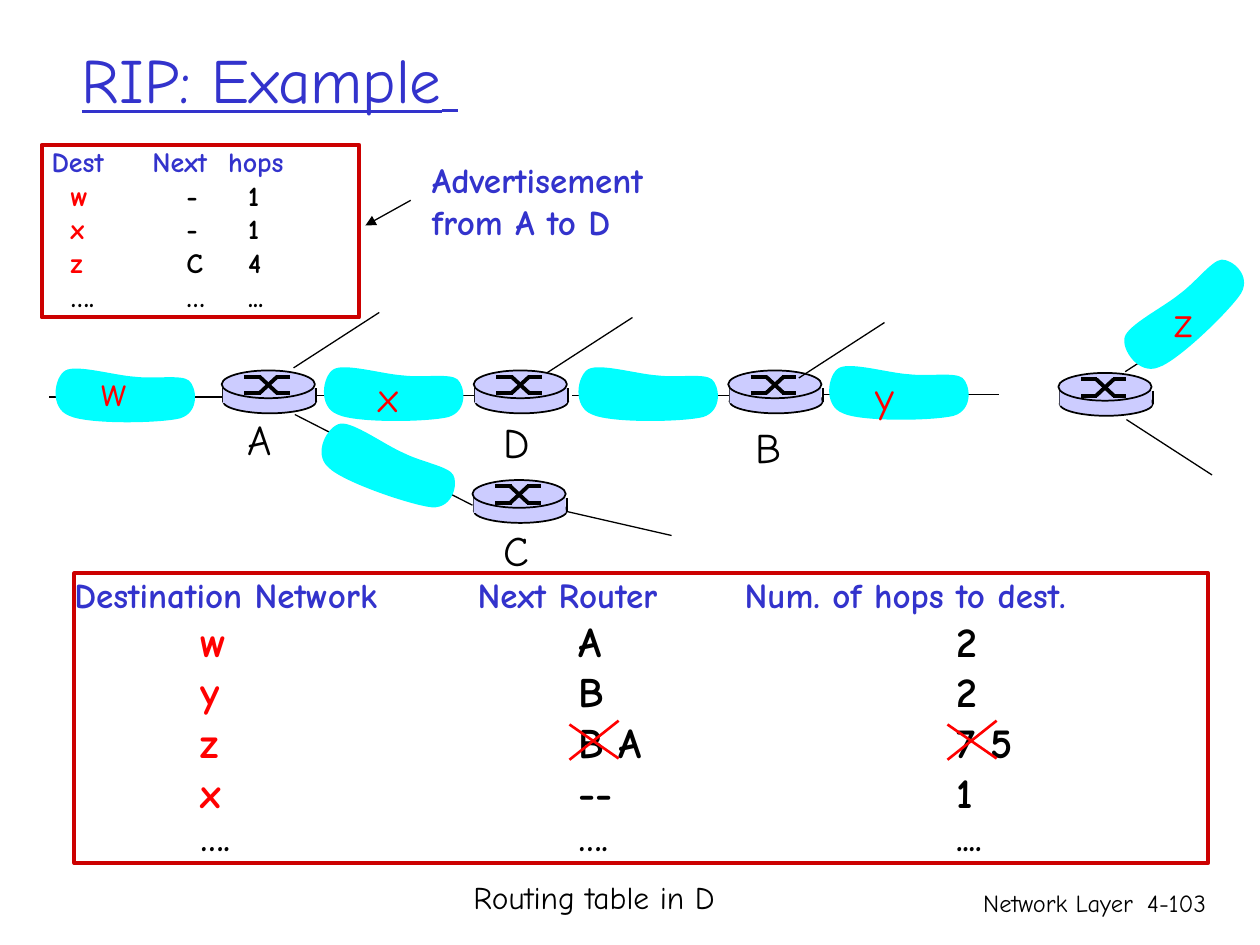
import pptx
import pptx.util
import pptx.dml.color
import pptx.enum.shapes
import pptx.enum.text
import pptx.oxml.ns
from lxml import etree

Inches, Pt = pptx.util.Inches, pptx.util.Pt
Kind = pptx.enum.shapes.MSO_SHAPE
Align = pptx.enum.text.PP_ALIGN
Anchor = pptx.enum.text.MSO_ANCHOR
qn = pptx.oxml.ns.qn

THEME = {
    "font": "Comic Neue",
    "black": "000000", "blue": "3333CC", "red": "FF0000",
    "frame": "CC0000", "cloud": "00FFFF", "router": "CCCCFF",
    "title": 36, "gap": 28, "label": 24, "head": 20, "note": 18,
    "small": 16, "foot": 14,
    "thin": 0.75, "edge": 1, "cross": 1.5, "thick": 2.25,
}

# Tables: frame, tab stops and rows; each row gives its type size and cells
ROUTES = {
    "box": (0.59, 4.55, 9, 2.3),
    "head": (0, 3.2, 5.32), "body": (1, 4, 7),
    "rows": [
        ("head", ("Destination Network", "Next Router", "Num. of hops to dest.")),
        ("label", ("w", "A", "2")),
        ("label", ("y", "B", "2")),
        ("label", ("z", "B A", "7 5")),
        ("label", ("x", "--", "1")),
        ("head", ("….", "….", "....")),
    ],
}
ADVERT = {
    "box": (0.33, 1.15, 2.52, 1.37),
    "head": (0.08, 0.88, 1.48), "body": (0.23, 1.15, 1.64),
    "rows": [
        ("small", ("Dest", "Next", "hops")),
        ("small", ("w", "-", "1")),
        ("small", ("x", "-", "1")),
        ("small", ("z", "C", "4")),
        ("small", ("….", "…", "...")),
    ],
}

# Network: routers and clouds by top left corner, lines by their ends
ROUTERS = [(3.76, 2.94), (1.76, 2.94), (3.75, 3.81), (5.78, 2.94), (8.4, 2.96)]
LINKS = [(0.39, 3.15), (2.52, 3.14), (4.54, 3.14), (6.53, 3.13)]
LINK = 1.4
SPURS = [(2.33, 2.92), (4.34, 2.96), (6.34, 3), (8.93, 2.95)]
RISE = (0.68, -0.44)
WIRES = [(8.94, 3.33, 9.62, 3.77), (2.34, 3.29, 3.75, 4.01),
         (4.5, 4.06, 5.33, 4.25)]
CLOUDS = [(2.52, 2.88, 0), (2.48, 3.46, 19.7), (0.39, 2.89, 0),
          (4.54, 2.88, 0), (6.53, 2.87, 0), (8.8, 2.25, 316.8)]
# Outline in hundredths of an inch: start, then Bezier triples
START = (68, 10)
CURVES = [
    ((52, 9), (22, 0), (13, 5)), ((4, 10), (0, 35), (16, 41)),
    ((31, 48), (88, 47), (104, 43)), ((120, 38), (117, 18), (111, 13)),
    ((105, 8), (84, 12), START),
]
SIDES = [(0.01, 0.14, 0.01, 0.25), (0.75, 0.14, 0.75, 0.25)]
SWITCH = [
    (0.18, 0.05, 0.31, 0.05), (0.43, 0.18, 0.54, 0.18),
    (0.3, 0.05, 0.44, 0.18), (0.18, 0.18, 0.31, 0.18),
    (0.43, 0.05, 0.54, 0.05), (0.3, 0.18, 0.44, 0.05),
]
CROSSES = [(4.52, 5.72), (7.52, 5.72)]
STROKES = [(0, 0.03, 0.39, 0.3), (0, 0.31, 0.39, 0)]

LABELS = [
    ("w", 0.71, 2.84, 0.43, "red"), ("x", 2.91, 2.89, 0.4, "red"),
    ("y", 6.85, 2.89, 0.37, "red"), ("z", 9.22, 2.3, 0.38, "red"),
    ("A", 1.87, 3.23, 0.44, "black"), ("C", 3.9, 4.11, 0.4, "black"),
    ("D", 3.9, 3.26, 0.44, "black"), ("B", 5.9, 3.3, 0.41, "black"),
]
FOOTS = [("Network Layer", (5.92, 7, 3.17, 0.5)), ("4-103", (8.93, 7, 0.74, 0.5))]

deck = pptx.Presentation()
deck.slide_width, deck.slide_height = Inches(10), Inches(7.5)
slide = deck.slides.add_slide(deck.slide_layouts[5])
shapes = slide.shapes


def tint(name):
    return pptx.dml.color.RGBColor.from_string(THEME[name])


def lay(*nums):
    return [Inches(n) for n in nums]


def write(para, text, size, ink, **more):
    run = para.add_run()
    run.text = text
    form = {"name": THEME["font"], "size": Pt(THEME[size]), **more}
    for key, val in form.items():
        setattr(run.font, key, val)
    run.font.color.rgb = tint(ink)


def line(ends, ink="black", width="thin", base=(0, 0)):
    """Draw a straight line, its ends counted from base."""
    x, y = base
    a, b, c, d = ends
    wire = shapes.add_connector(pptx.enum.shapes.MSO_CONNECTOR.STRAIGHT,
                                *lay(x + a, y + b, x + c, y + d))
    wire.line.color.rgb = tint(ink)
    wire.line.width = Pt(THEME[width])
    etree.SubElement(wire.element.spPr, qn("a:effectLst"))
    return wire


def paint(shape, fill=None, edge=None, width="edge"):
    shape.shadow.inherit = False
    if fill:
        shape.fill.solid()
        shape.fill.fore_color.rgb = tint(fill)
    else:
        shape.fill.background()
    if edge:
        shape.line.color.rgb = tint(edge)
        shape.line.width = Pt(THEME[width])
    else:
        shape.line.fill.background()
    return shape


def router(x, y):
    def part(kind, dx, dy, w, h, edge):
        paint(shapes.add_shape(kind, *lay(x + dx, y + dy, w, h)), "router", edge)

    part(Kind.OVAL, 0.01, 0.15, 0.74, 0.19, "black")
    for side in SIDES:
        line(side, width="edge", base=(x, y))
    part(Kind.RECTANGLE, 0.01, 0.14, 0.73, 0.12, None)
    part(Kind.OVAL, 0, 0, 0.74, 0.22, "black")
    for bar in SWITCH:
        line(bar, width="thick", base=(x, y))


def cloud(x, y, turn):
    pen = shapes.build_freeform(0, 0, scale=Inches(0.01))
    pen.add_line_segments([(120, 0), (120, 48), (0, 48)])
    shape = paint(pen.convert_to_shape(*lay(x, y)), "cloud")
    shape.rotation = turn
    track = shape.element.xpath(".//a:path")[0]
    for old in list(track):
        track.remove(old)
    for tag, spots in [("moveTo", [START])] + [("cubicBezTo", c) for c in CURVES]:
        step = etree.SubElement(track, qn("a:" + tag))
        for px, py in spots:
            etree.SubElement(step, qn("a:pt"), x=str(px), y=str(py))
    etree.SubElement(track, qn("a:close"))


def text(lines, box, size, ink, wrap=False, align=Align.LEFT, **more):
    frame = shapes.add_textbox(*lay(*box)).text_frame
    frame.word_wrap = wrap
    for i, words in enumerate(lines):
        para = frame.add_paragraph() if i else frame.paragraphs[0]
        para.alignment = align
        write(para, words, size, ink, **more)


def grid(data):
    """Draw a framed list whose columns stand on tab stops."""
    shape = shapes.add_shape(Kind.RECTANGLE, *lay(*data["box"]))
    frame = paint(shape, None, "frame", "thick").text_frame
    form = {"margin_left": 0, "margin_top": 0, "margin_right": 0,
            "margin_bottom": 0, "vertical_anchor": Anchor.TOP, "word_wrap": True}
    for key, val in form.items():
        setattr(frame, key, val)
    for i, (size, cells) in enumerate(data["rows"]):
        para = frame.add_paragraph() if i else frame.paragraphs[0]
        para.alignment = Align.LEFT
        stops = data["body" if i else "head"]
        tabs = etree.SubElement(para._p.get_or_add_pPr(), qn("a:tabLst"))
        for stop in filter(None, stops):
            etree.SubElement(tabs, qn("a:tab"), pos=str(Inches(stop)), algn="l")
        for j, (stop, cell) in enumerate(zip(stops, cells)):
            key = j == 0 and cell.isalpha()
            ink = "blue" if i == 0 else "red" if key else "black"
            write(para, ("\t" if stop else "") + cell, size, ink, bold=True)


for words, box in FOOTS:
    text([words], box, "foot", "black", True, Align.RIGHT)

title = shapes.title
title.left, title.top, title.width, title.height = lay(0.55, 0, 8.5, 1.25)
title.text_frame.vertical_anchor = Anchor.MIDDLE
head = title.text_frame.paragraphs[0]
head.alignment = Align.LEFT
write(head, "RIP: Example", "title", "blue", underline=True)
write(head, " ", "gap", "blue", underline=True)

grid(ROUTES)
text(["Routing table in D"], (3.66, 6.92, 2.27, 0.4), "note", "black")

for x, y in LINKS:
    line((x, y, x + LINK, y), width="edge")
for spot in ROUTERS:
    router(*spot)
for spot in SPURS:
    line((0, 0, *RISE), base=spot)
for ends in WIRES:
    line(ends)
for item in CLOUDS:
    cloud(*item)
for words, x, y, w, ink in LABELS:
    text([words], (x, y, w, 0.5), "label", ink)

grid(ADVERT)
text(["Advertisement", "from A to D"], (3.33, 1.21, 2.14, 0.77),
     "head", "blue", bold=True)
arrow = line((3.26, 1.59, 2.9, 1.79))
etree.SubElement(arrow.line._get_or_add_ln(), qn("a:tailEnd"), type="triangle")
for spot in CROSSES:
    for ends in STROKES:
        line(ends, "red", "cross", spot)

deck.save("out.pptx")
